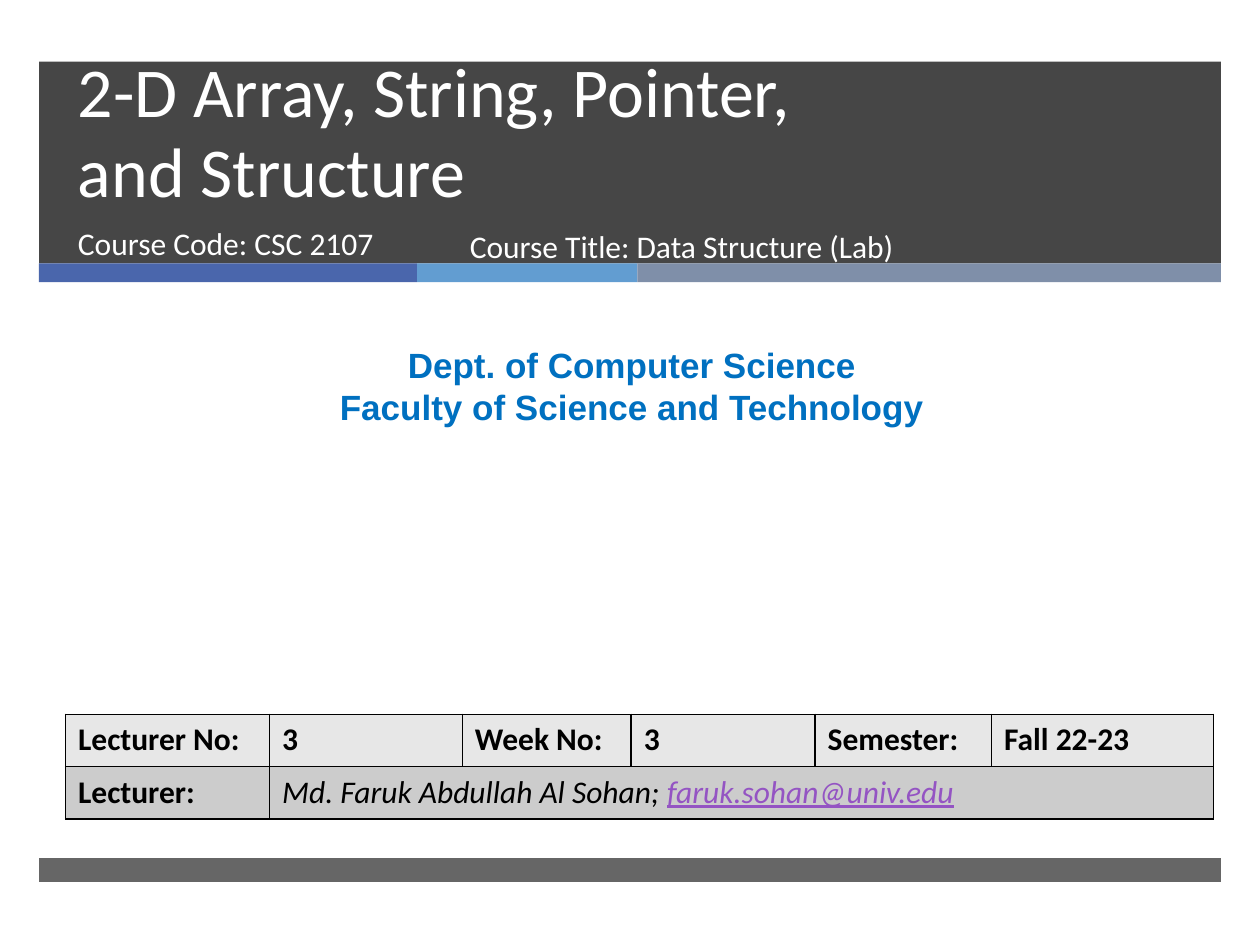
from dataclasses import dataclass
from itertools import accumulate

from lxml import etree
from pptx import Presentation
from pptx.dml.color import RGBColor
from pptx.enum.shapes import MSO_SHAPE
from pptx.enum.text import MSO_ANCHOR, PP_ALIGN
from pptx.oxml.ns import qn
from pptx.util import Inches, Pt

RECTANGLE = MSO_SHAPE.RECTANGLE
LEFT, CENTER = PP_ALIGN.LEFT, PP_ALIGN.CENTER
TOP, BOTTOM = MSO_ANCHOR.TOP, MSO_ANCHOR.BOTTOM
SLIDE_WIDTH, SLIDE_HEIGHT = Inches(10), Inches(7.5)
GRID_COLUMNS, GRID_ROWS = 100, 75


@dataclass(frozen=True)
class Theme:
    dark: str = "262626"
    white: str = "FFFFFF"
    black: str = "000000"
    accents: tuple = ("4A66AC", "629DD1", "7F8FA9")
    department: str = "0070C0"
    email: str = "9454C3"
    table_rows: tuple = ("E7E7E7", "CCCCCC")
    body_font: str = "Calibri"
    department_font: str = "Arial"
    title_size: int = 40
    title_spacing: int = 46
    department_size: int = 20
    body_size: int = 18
    border: int = 1


@dataclass(frozen=True)
class Box:
    left: float
    top: float
    width: float
    height: float

    def inner(self, left, top, width, height):
        return Box(self.left + left, self.top + top, width, height)

    def lengths(self):
        return (across(self.left), down(self.top), across(self.width), down(self.height))


THEME = Theme()


def across(columns):
    return int(SLIDE_WIDTH * columns / GRID_COLUMNS)


def down(rows):
    return int(SLIDE_HEIGHT * rows / GRID_ROWS)


def add_bar(slide, box, color, opacity=100):
    bar = slide.shapes.add_shape(RECTANGLE, *box.lengths())
    bar.shadow.inherit = False
    bar.fill.solid()
    bar.fill.fore_color.rgb = RGBColor.from_string(color)
    bar.line.fill.background()
    if opacity < 100:
        color_element = bar.fill._xPr.find(".//" + qn("a:srgbClr"))
        etree.SubElement(color_element, qn("a:alpha"), val=str(opacity * 1000))


def add_run(paragraph, text, color, size=THEME.body_size, font=THEME.body_font,
            bold=False, italic=False, underline=False):
    run = paragraph.add_run()
    run.text = text
    run.font.name = font
    run.font.size = Pt(size)
    run.font.color.rgb = RGBColor.from_string(color)
    run.font.bold, run.font.italic, run.font.underline = bold, italic, underline


def add_text_frame(slide, box, anchor=TOP):
    frame = slide.shapes.add_textbox(*box.lengths()).text_frame
    frame.word_wrap = True
    frame.vertical_anchor = anchor
    return frame


def add_header(slide, box):
    stripe_height = 1.5
    add_bar(slide, box, THEME.dark, 85)
    widths = (30, 17.5, 46.3)
    for left, width, color in zip(accumulate((0, *widths)), widths, THEME.accents):
        add_bar(slide, box.inner(left, box.height, width, stripe_height), color)

    title = add_text_frame(slide, box.inner(2.1, 0.5, 85.4, 11.9), BOTTOM).paragraphs[0]
    title.line_spacing = Pt(THEME.title_spacing)
    add_run(title, "2-D Array, String, Pointer,", THEME.white, THEME.title_size)
    title.add_line_break()
    add_run(title, "and Structure", THEME.white, THEME.title_size)

    for text, left, top, width in (
        ("Course Code: CSC 2107", 2.1, 12.4, 30.5),
        ("Course Title: Data Structure (Lab)", 33.2, 12.6, 45.5),
    ):
        frame = add_text_frame(slide, box.inner(left, top, width, 5.3))
        add_run(frame.paragraphs[0], text, THEME.white)


def add_department(slide, box):
    frame = add_text_frame(slide, box)
    lines = ("Dept. of Computer Science", "Faculty of Science and Technology")
    for index, text in enumerate(lines):
        paragraph = frame.add_paragraph() if index else frame.paragraphs[0]
        paragraph.alignment = CENTER
        add_run(paragraph, text, THEME.department, THEME.department_size,
                THEME.department_font, bold=True)


def style_cell(cell, color):
    properties = cell._tc.get_or_add_tcPr()
    for side in ("a:lnL", "a:lnR", "a:lnT", "a:lnB"):
        line = etree.SubElement(properties, qn(side), w=str(Pt(THEME.border)))
        fill = etree.SubElement(line, qn("a:solidFill"))
        etree.SubElement(fill, qn("a:srgbClr"), val=THEME.black)
    cell.fill.solid()
    cell.fill.fore_color.rgb = RGBColor.from_string(color)


def add_lecture_table(slide, box):
    widths = (16.2, 15.3, 13.4, 14.6, 14, 17.6)
    table = slide.shapes.add_table(2, len(widths), *box.lengths()).table
    for column, width in zip(table.columns, widths):
        column.width = across(width)
    for row, color in zip(table.rows, THEME.table_rows):
        row.height = down(box.height / 2)
        for cell in row.cells:
            style_cell(cell, color)
    table.cell(1, 1).merge(table.cell(1, len(widths) - 1))

    headings = ("Lecturer No:", "3", "Week No:", "3", "Semester:", "Fall 22-23")
    labels = [(0, column, text) for column, text in enumerate(headings)]
    for row, column, text in (*labels, (1, 0, "Lecturer:")):
        paragraph = table.cell(row, column).text_frame.paragraphs[0]
        add_run(paragraph, text, THEME.black, bold=True)

    lecturer = table.cell(1, 1).text_frame.paragraphs[0]
    add_run(lecturer, "Md. Faruk Abdullah Al Sohan; ", THEME.black, italic=True)
    add_run(lecturer, "faruk.sohan@univ.edu", THEME.email, italic=True, underline=True)


def add_footer(slide, box):
    add_bar(slide, box, THEME.dark, 70)


def main():
    presentation = Presentation()
    presentation.slide_width, presentation.slide_height = SLIDE_WIDTH, SLIDE_HEIGHT
    slide = presentation.slides.add_slide(presentation.slide_layouts[6])
    add_header(slide, Box(3.1, 4.9, 93.8, 16))
    add_footer(slide, Box(3.1, 68.1, 93.8, 1.9))
    add_department(slide, Box(0.8, 26.8, 98.7, 7.7))
    add_lecture_table(slide, Box(5.2, 56.7, 91.2, 8.3))
    presentation.save("out.pptx")


if __name__ == "__main__":
    main()
